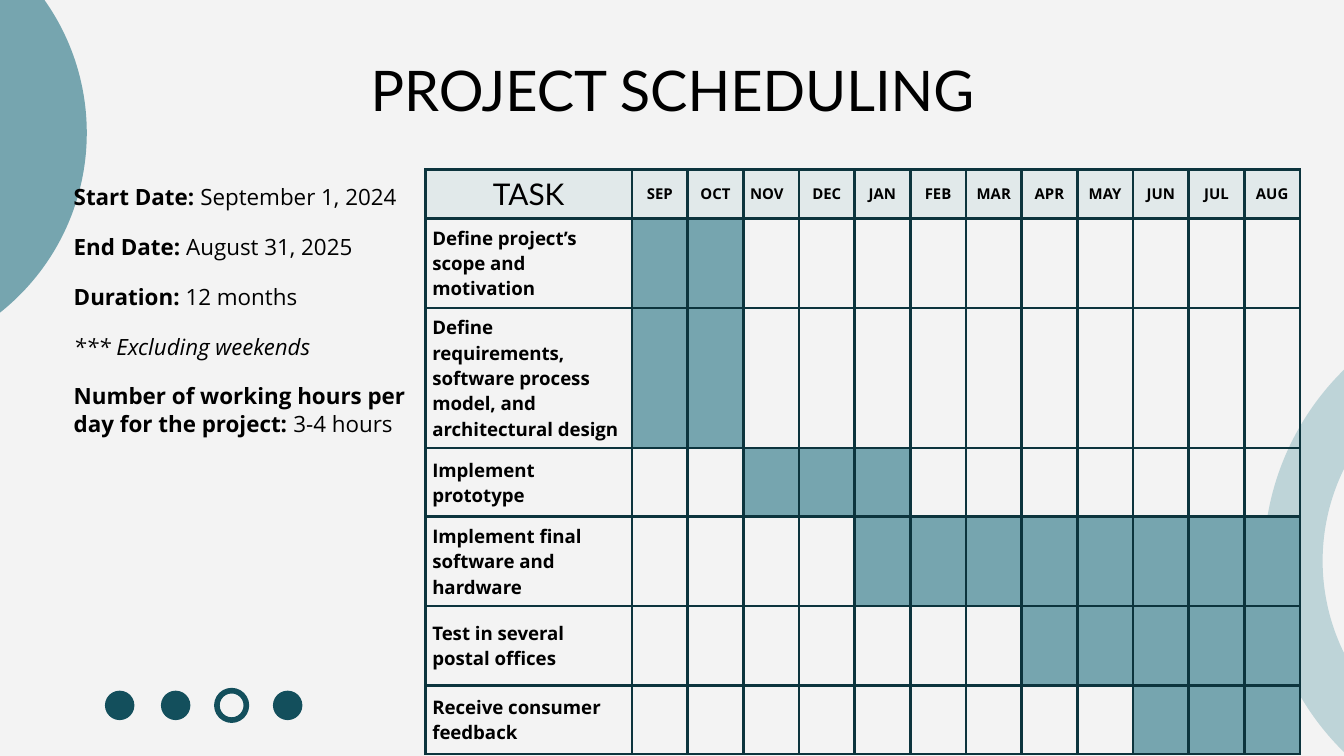
from dataclasses import dataclass

from lxml.etree import SubElement
from pptx import Presentation
from pptx.dml.color import RGBColor
from pptx.enum.shapes import MSO_SHAPE as Shape
from pptx.enum.text import MSO_ANCHOR as Anchor, MSO_AUTO_SIZE as AutoSize, PP_ALIGN as Align
from pptx.oxml.ns import qn
from pptx.util import Pt


@dataclass(frozen=True)
class Theme:
    """Colours, fonts and type sizes of the slide."""
    background: str = "F3F3F3"
    text: str = "000000"
    dot: str = "134F5C"
    accent: str = "76A5AF"
    ring: str = "BED4D8"
    header: str = "A2C4C9"
    border: str = "0C343D"
    heading_font: str = "Lato"
    body_font: str = "Open Sans"
    title_size: float = 30
    task_heading_size: float = 16
    body_size: float = 12
    task_size: float = 10
    month_size: float = 8


THEME = Theme()
MONTHS = ["SEP", "OCT", "NOV", "DEC", "JAN", "FEB", "MAR", "APR", "MAY", "JUN", "JUL", "AUG"]
TASKS = [
    ("Define project’s scope and motivation", "SEP", "OCT", 36.7),
    ("Define requirements, software process model, and architectural design", "SEP", "OCT", 42.5),
    ("Implement prototype", "NOV", "JAN", 36.7),
    ("Implement final software and hardware", "JAN", "AUG", 36.7),
    ("Test in several postal offices", "APR", "AUG", 42.5),
    ("Receive consumer feedback", "JUN", "AUG", 36.7),
]
FACTS = [
    [("Start Date: ", "bold"), ("September 1, 2024", "")],
    [("End Date:", "bold"), (" August 31, 2025", "")],
    [("Duration:", "bold"), (" 12 months", "")],
    [("*** Excluding weekends", "italic")],
    [("Number of working hours per day for the project: ", "bold"), ("3-4 hours", "")],
]


def color(value):
    """Turn a hex string into a colour."""
    return RGBColor.from_string(value)


def style_font(font, name, size, bold=False, italic=False):
    """Set the face, size and weight of a font."""
    font.name, font.size, font.bold, font.italic = name, Pt(size), bold, italic
    font.color.rgb = color(THEME.text)


def add_round(slide, kind, left, top, size, fill=None):
    """Add a round shape, filled or drawn as an outline."""
    shape = slide.shapes.add_shape(kind, Pt(left), Pt(top), Pt(size), Pt(size))
    shape.shadow.inherit = False
    if fill:
        shape.fill.solid()
        shape.fill.fore_color.rgb = color(fill)
        shape.line.fill.background()
    else:
        shape.fill.background()
        shape.line.color.rgb = color(THEME.dot)
        shape.line.width = Pt(3)
    return shape


def add_decoration(slide, width):
    """Add the large circle on the left and the ring on the right."""
    add_round(slide, Shape.OVAL, -199.5, -51.8, 246, THEME.accent)
    ring = add_round(slide, Shape.DONUT, width - 43, 157, 287, THEME.ring)
    ring.adjustments[0] = 0.11


def add_dots(slide, left, top, size, pitch, count, current):
    """Add a row of dots with the current one hollow."""
    for index in range(count):
        fill = None if index == current else THEME.dot
        add_round(slide, Shape.OVAL, left + index * pitch, top, size, fill)


def add_title(slide, left, top, width, height):
    """Place and format the title."""
    title = slide.shapes.title
    title.left, title.top, title.width, title.height = map(Pt, (left, top, width, height))
    frame = title.text_frame
    frame.text = "PROJECT SCHEDULING"
    frame.auto_size = AutoSize.NONE
    frame.vertical_anchor = Anchor.TOP
    frame.margin_top = frame.margin_bottom = Pt(7.2)
    paragraph = frame.paragraphs[0]
    paragraph.alignment = Align.CENTER
    style_font(paragraph.runs[0].font, THEME.heading_font, THEME.title_size)


def add_facts(slide, left, top, width, height):
    """Add the list of dates and hours."""
    frame = slide.shapes.add_textbox(Pt(left), Pt(top), Pt(width), Pt(height)).text_frame
    frame.word_wrap = True
    frame.margin_left = frame.margin_right = frame.margin_top = frame.margin_bottom = Pt(7.2)
    for index, fact in enumerate(FACTS):
        paragraph = frame.add_paragraph() if index else frame.paragraphs[0]
        paragraph.line_spacing = 1.02
        paragraph.space_before = Pt(12 if index else 0)
        for text, style in fact:
            run = paragraph.add_run()
            run.text = text
            style_font(run.font, THEME.body_font, THEME.body_size,
                       style == "bold", style == "italic")


def format_cell(cell, fill=None, alpha=None):
    """Set the borders, margins and fill of a table cell."""
    cell.margin_left = cell.margin_right = cell.margin_top = cell.margin_bottom = Pt(3.6)
    cell.vertical_anchor = Anchor.MIDDLE
    properties = cell._tc.get_or_add_tcPr()
    for side in ("a:lnL", "a:lnR", "a:lnT", "a:lnB"):
        line = SubElement(properties, qn(side), w=str(Pt(1.5)))
        SubElement(SubElement(line, qn("a:solidFill")), qn("a:srgbClr"), val=THEME.border)
    if not fill:
        cell.fill.background()
        return
    cell.fill.solid()
    cell.fill.fore_color.rgb = color(fill)
    if alpha:
        fill_color = properties.find(qn("a:solidFill")).find(qn("a:srgbClr"))
        SubElement(fill_color, qn("a:alpha"), val=str(alpha * 1000))


def write_cell(cell, text, name, size, bold, alignment):
    """Write one run of text into a table cell."""
    cell.text_frame.text = text
    paragraph = cell.text_frame.paragraphs[0]
    paragraph.alignment = alignment
    style_font(paragraph.runs[0].font, name, size, bold)


def add_schedule(slide, left, top, width, task_width, header_height):
    """Add the table of tasks against months."""
    heights = [header_height] + [height for *_, height in TASKS]
    frame = slide.shapes.add_table(len(heights), len(MONTHS) + 1,
                                   Pt(left), Pt(top), Pt(width), Pt(sum(heights)))
    table = frame.table
    table.first_row = table.horz_banding = False
    for row, height in zip(table.rows, heights):
        row.height = Pt(height)
    for index, column in enumerate(table.columns):
        column.width = Pt((width - task_width) / len(MONTHS) if index else task_width)

    for index, text in enumerate(["TASK"] + MONTHS):
        cell = table.cell(0, index)
        format_cell(cell, THEME.header, 21)
        name = THEME.body_font if index else THEME.heading_font
        size = THEME.month_size if index else THEME.task_heading_size
        alignment = Align.LEFT if text == "NOV" else Align.CENTER
        write_cell(cell, text, name, size, index > 0, alignment)

    for row, (task, first, last, _) in enumerate(TASKS, start=1):
        cell = table.cell(row, 0)
        format_cell(cell)
        write_cell(cell, task, THEME.body_font, THEME.task_size, True, Align.LEFT)
        for column, month in enumerate(MONTHS):
            active = MONTHS.index(first) <= column <= MONTHS.index(last)
            format_cell(table.cell(row, column + 1), THEME.accent if active else None)


def main():
    """Build and save the presentation."""
    presentation = Presentation()
    presentation.slide_width, presentation.slide_height = Pt(720), Pt(405)
    slide = presentation.slides.add_slide(presentation.slide_layouts[5])
    slide.background.fill.solid()
    slide.background.fill.fore_color.rgb = color(THEME.background)
    add_dots(slide, 56.2, 370, 15.8, 30, 4, 2)
    add_decoration(slide, 720)
    add_title(slide, 56.9, 22.3, 607, 45.4)
    add_schedule(slide, 228, 90.7, 468.5, 110.6, 26)
    add_facts(slide, 32.4, 90.7, 195, 274.3)
    presentation.save("out.pptx")


if __name__ == "__main__":
    main()
